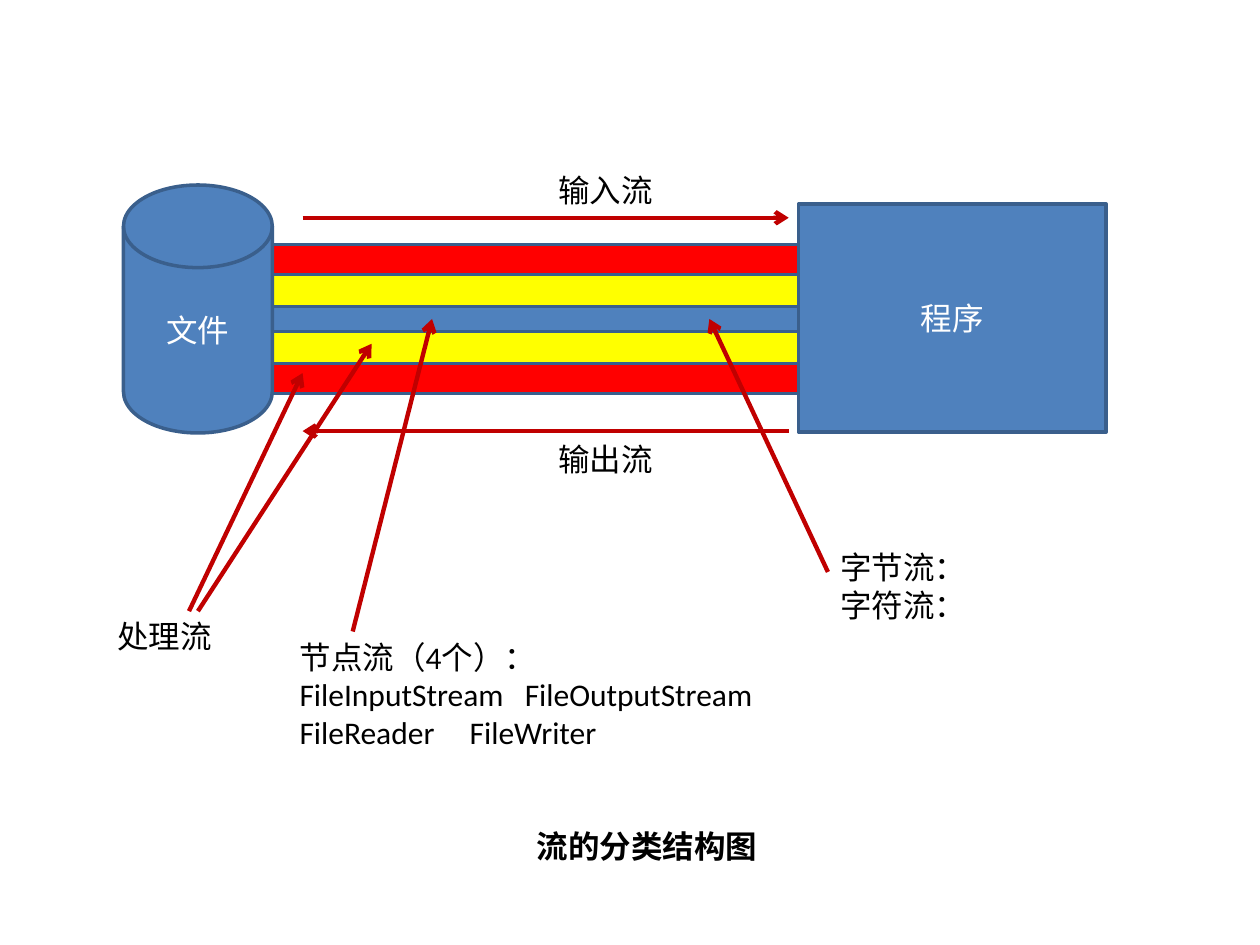
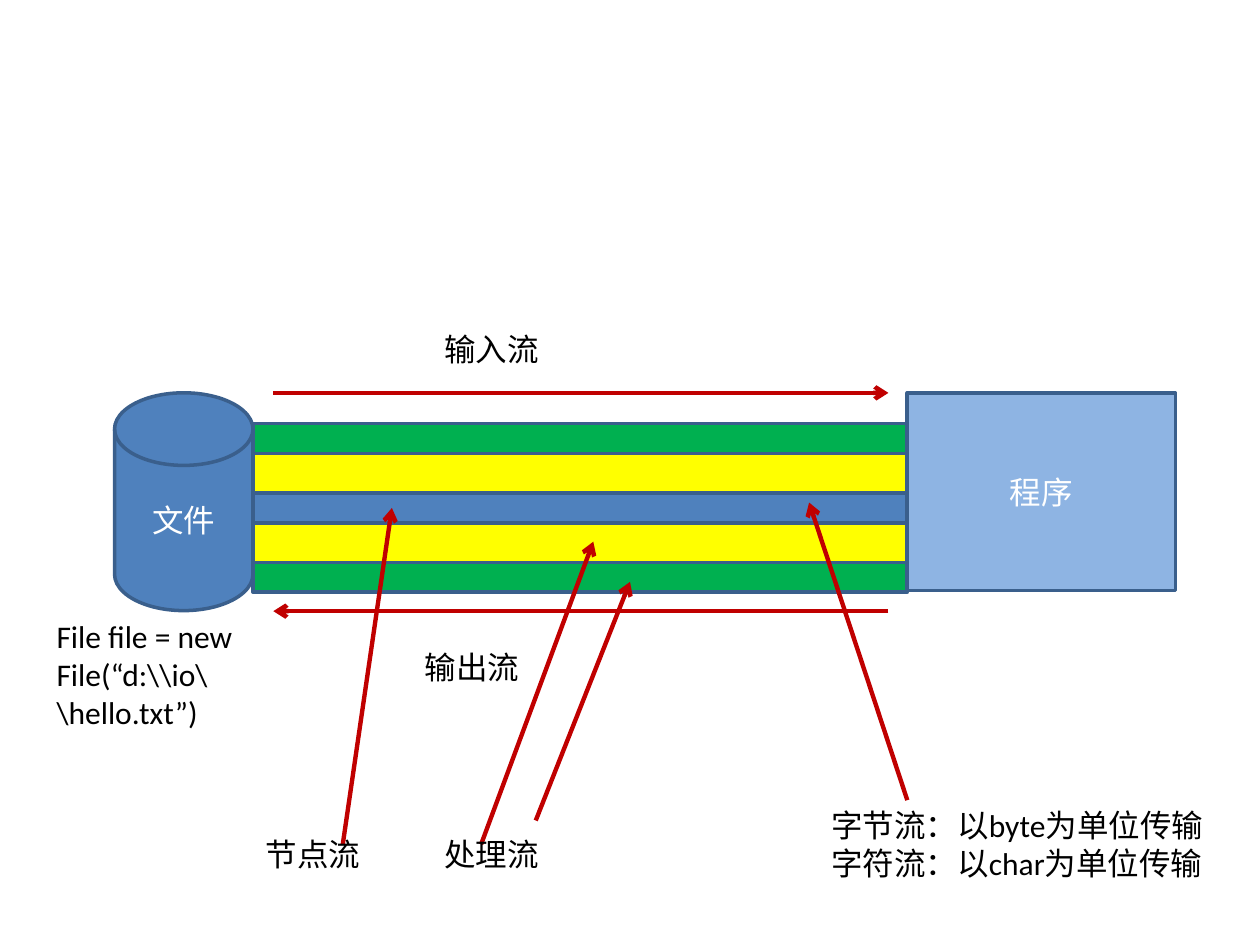
from dataclasses import dataclass

from lxml import etree
from pptx import Presentation
from pptx import util as u
from pptx.dml.color import RGBColor
from pptx.enum import shapes, text
from pptx.oxml.ns import qn


@dataclass(frozen=True)
class Theme:
    font: str = "Calibri"
    size: int = 18
    paper: str = "FFFFFF"
    ink: str = "000000"
    blue: str = "4F81BD"
    light_blue: str = "8EB4E3"
    outline: str = "3A5F8C"
    arrow: str = "C00000"
    red: str = "FF0000"
    yellow: str = "FFFF00"
    green: str = "00B050"
    outline_width: float = 2
    arrow_width: float = 2.5


theme = Theme()
LINE_HEIGHT = 1.02  # cm, height of a one-line label
NODE_STREAM_TABS = (3.43, 4.54)  # cm, start of the second class name in each row

# All lengths in cm. Pipe layers: (height, colour), nested around pipe_middle.
# Labels: (left, top, width, text). Arrows: (from x, from y, to x, to y).
diagrams = [
    {
        "title": (5.79, 16.54, 14.5, "流的分类结构图"),
        "pipe_middle": 6.43,
        "pipe_layers": [(3, theme.red), (1.8, theme.yellow), (0.5, theme.blue)],
        "file": (2.49, 3.73, 3, 5),
        "program": (16.1, 4.11, 6.2, 4.6),
        "program_fill": theme.blue,
        "arrows": [
            (6.1, 4.39, 15.9, 4.39),
            (15.9, 8.69, 6.1, 8.69),
            (16.69, 11.53, 14.3, 6.43),
            (7.11, 12.73, 8.71, 6.43),
            (3.99, 12.32, 7.49, 6.93),
            (3.81, 12.32, 6.1, 7.52),
        ],
        "labels": [
            (11, 3.33, 4.9, "输入流"),
            (11, 8.74, 3.71, "输出流"),
            (16.69, 10.92, 5.59, "字节流：\n字符流："),
            (5.79, 12.73, 10.39,
             "节点流（4个）：\nFileInputStream\tFileOutputStream\nFileReader\tFileWriter"),
            (2.11, 12.32, 3.4, "处理流"),
        ],
    },
    {
        "title": None,
        "pipe_middle": 10.24,
        "pipe_layers": [(3.4, theme.green), (2.2, theme.yellow), (0.6, theme.blue)],
        "file": (2.31, 7.92, 2.79, 4.39),
        "program": (18.29, 7.92, 5.41, 3.99),
        "program_fill": theme.light_blue,
        "arrows": [
            (5.51, 7.92, 17.91, 7.92),
            (17.91, 12.32, 5.51, 12.32),
            (18.29, 16.13, 16.31, 10.13),
            (6.91, 17.02, 7.9, 10.24),
            (9.7, 17.02, 11.96, 10.92),
            (10.8, 16.54, 12.7, 11.73),
        ],
        "labels": [
            (8.71, 6.53, 6.6, "输入流"),
            (8.31, 12.93, 5, "输出流"),
            (16.51, 16.13, 8.89, "字节流：以byte为单位传输\n字符流：以char为单位传输"),
            (0.89, 12.32, 5.21, r"File file = new File(“d:\\io\\hello.txt”)"),
            (5.11, 16.71, 2.79, "节点流"),
            (8.71, 16.71, 3.3, "处理流"),
        ],
    },
]


def write(shape, content, color=theme.ink, align=text.PP_ALIGN.LEFT,
          anchor=text.MSO_ANCHOR.TOP, bold=False):
    """Fill a shape with text in the shared type style."""
    frame = shape.text_frame
    frame.word_wrap = True
    frame.vertical_anchor = anchor
    frame.text = content
    for paragraph in frame.paragraphs:
        paragraph.alignment = align
        for run in paragraph.runs:
            run.font.name = theme.font
            run.font.size = u.Pt(theme.size)
            run.font.bold = bold
            run.font.color.rgb = RGBColor.from_string(color)


def add_block(slide, kind, box, fill, caption=""):
    """Add an outlined preset shape with an optional centred caption."""
    shape = slide.shapes.add_shape(kind, *map(u.Cm, box))
    shape.shadow.inherit = False
    shape.fill.solid()
    shape.fill.fore_color.rgb = RGBColor.from_string(fill)
    shape.line.color.rgb = RGBColor.from_string(theme.outline)
    shape.line.width = u.Pt(theme.outline_width)
    if caption:
        write(shape, caption, theme.paper, text.PP_ALIGN.CENTER, text.MSO_ANCHOR.MIDDLE)


presentation = Presentation()
presentation.slide_width = u.Cm(25.4)
presentation.slide_height = u.Cm(19.05)
title_only, blank = presentation.slide_layouts[5], presentation.slide_layouts[6]

for diagram in diagrams:
    slide = presentation.slides.add_slide(title_only if diagram["title"] else blank)
    slide.background.fill.solid()
    slide.background.fill.fore_color.rgb = RGBColor.from_string(theme.paper)

    if diagram["title"]:
        left, top, width, content = diagram["title"]
        title = slide.shapes.title
        title.left, title.top = u.Cm(left), u.Cm(top)
        title.width, title.height = u.Cm(width), u.Cm(LINE_HEIGHT)
        write(title, content, align=text.PP_ALIGN.CENTER, bold=True)

    # The pipe runs from the right edge of the file to the left edge of the program.
    pipe_left = diagram["file"][0] + diagram["file"][2]
    pipe_width = diagram["program"][0] - pipe_left
    for height, color in diagram["pipe_layers"]:
        pipe_top = diagram["pipe_middle"] - height / 2
        add_block(slide, shapes.MSO_SHAPE.RECTANGLE,
                  (pipe_left, pipe_top, pipe_width, height), color)

    add_block(slide, shapes.MSO_SHAPE.FLOWCHART_MAGNETIC_DISK,
              diagram["file"], theme.blue, "文件")
    add_block(slide, shapes.MSO_SHAPE.RECTANGLE,
              diagram["program"], diagram["program_fill"], "程序")

    for ends in diagram["arrows"]:
        arrow = slide.shapes.add_connector(shapes.MSO_CONNECTOR.STRAIGHT, *map(u.Cm, ends))
        arrow.line.color.rgb = RGBColor.from_string(theme.arrow)
        arrow.line.width = u.Pt(theme.arrow_width)
        properties = arrow._element.spPr
        etree.SubElement(properties.find(qn("a:ln")), qn("a:tailEnd"), type="arrow")
        etree.SubElement(properties, qn("a:effectLst"))

    for left, top, width, content in diagram["labels"]:
        label = slide.shapes.add_textbox(u.Cm(left), u.Cm(top), u.Cm(width), u.Cm(LINE_HEIGHT))
        write(label, content)
        label.text_frame.auto_size = text.MSO_AUTO_SIZE.SHAPE_TO_FIT_TEXT
        for paragraph in label.text_frame.paragraphs:
            if "\t" in paragraph.text:
                tabs = etree.SubElement(paragraph._p.get_or_add_pPr(), qn("a:tabLst"))
                for position in NODE_STREAM_TABS:
                    etree.SubElement(tabs, qn("a:tab"), pos=str(u.Cm(position)), algn="l")

presentation.save("out.pptx")
